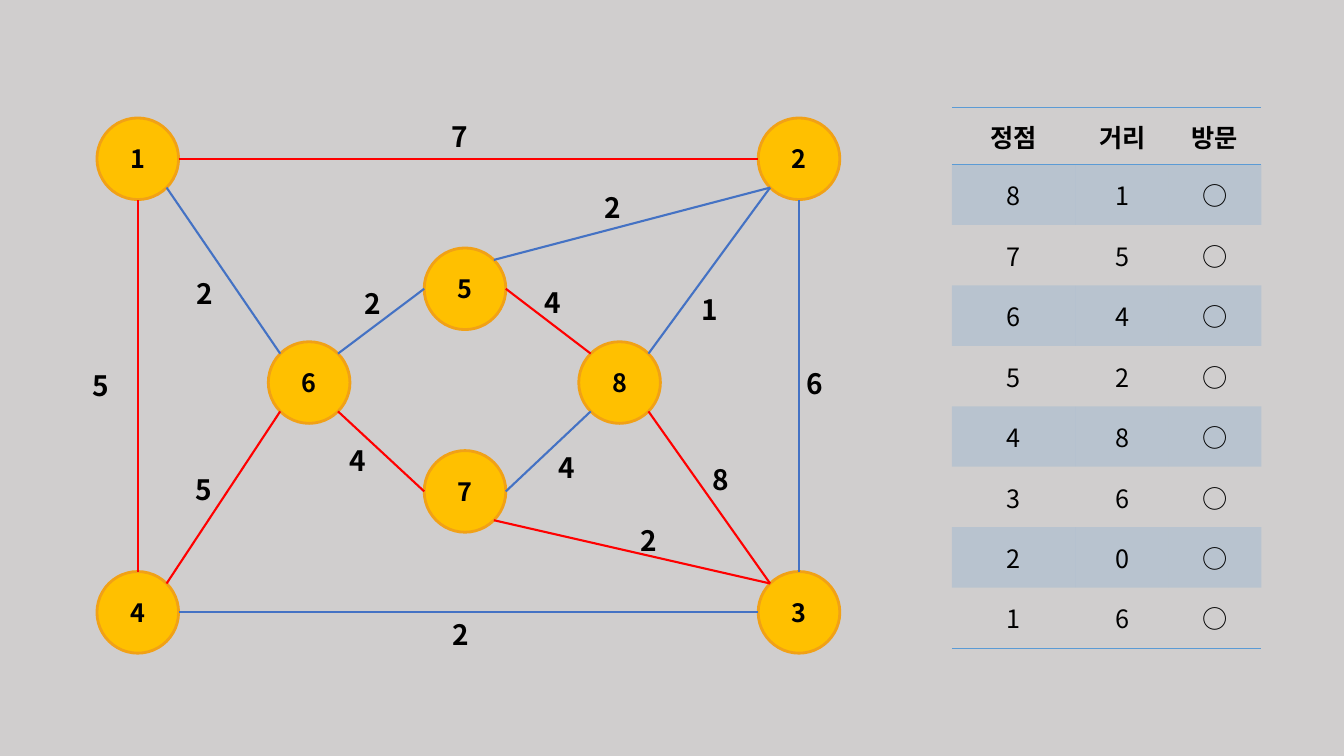
from dataclasses import dataclass
from math import cos, radians, sin

from lxml.etree import SubElement
from pptx import Presentation
from pptx.dml.color import RGBColor
from pptx.enum.shapes import MSO_CONNECTOR, MSO_SHAPE
from pptx.enum.text import MSO_ANCHOR, PP_ALIGN
from pptx.oxml.ns import qn
from pptx.util import Emu, Inches, Pt

FONT = "Noto Sans CJK KR"
INK = {"back": "D0CECE", "text": "000000", "node": "FFC000", "rim": "F1A116",
       "red": "FF0000", "blue": "4472C4", "table": "5B9BD5"}
PLAIN = "{2D5ABB26-0587-4C30-8999-92F81FD0307C}"  # table style without grid
WIDE, HIGH = Inches(13.33), Inches(7.5)


# Lengths are percentages of the slide's width or height
def across(share: float) -> Emu:
    return Emu(round(WIDE * share / 100))


def down(share: float) -> Emu:
    return Emu(round(HIGH * share / 100))


SIZE = down(10.8)  # circle width
TAG = (across(2.7), down(5.87))  # weight label

# Joints run anticlockwise round a circle, 45 degrees apart
TOP, TOP_LEFT, LEFT, LOW_LEFT, LOW, LOW_RIGHT, RIGHT, TOP_RIGHT = range(8)


@dataclass
class Node:
    name: str
    x: float
    y: float

    def joint(self, site: int) -> tuple[Emu, Emu]:
        turn = radians(45 * site)
        return (Emu(round(across(self.x) - SIZE / 2 * sin(turn))),
                Emu(round(down(self.y) - SIZE / 2 * cos(turn))))


@dataclass
class Edge:
    start: str
    out: int
    end: str
    into: int
    color: str
    weight: str
    x: float  # centre of the weight
    y: float


NODES = [
    Node("1", 10.25, 21), Node("2", 59.45, 21),
    Node("4", 10.25, 81), Node("3", 59.45, 81),
    Node("5", 34.6, 38.2), Node("7", 34.6, 65),
    Node("8", 46.1, 50.6), Node("6", 23, 50.6),
]
EDGES = [
    Edge("1", RIGHT, "2", LEFT, "red", "7", 34.2, 18.13),
    Edge("1", LOW_RIGHT, "6", TOP_LEFT, "blue", "2", 15.23, 38.8),
    Edge("4", TOP_RIGHT, "6", LOW_LEFT, "red", "5", 15.15, 64.8),
    Edge("4", TOP, "1", LOW, "red", "5", 7.5, 51.07),
    Edge("4", RIGHT, "3", LEFT, "blue", "2", 34.28, 84),
    Edge("6", LOW_RIGHT, "7", LEFT, "red", "4", 26.63, 60.93),
    Edge("6", TOP_RIGHT, "5", LEFT, "blue", "2", 27.75, 40.13),
    Edge("5", RIGHT, "8", TOP_LEFT, "red", "4", 41.1, 40),
    Edge("8", LOW_RIGHT, "3", TOP_LEFT, "red", "8", 53.63, 63.47),
    Edge("8", TOP_RIGHT, "2", LOW_LEFT, "blue", "1", 52.8, 40.93),
    Edge("3", TOP, "2", LOW, "blue", "6", 60.6, 50.8),
    Edge("7", RIGHT, "8", LOW_LEFT, "blue", "4", 42.15, 61.87),
    Edge("5", TOP_RIGHT, "2", LOW_LEFT, "blue", "2", 45.6, 27.47),
    Edge("7", LOW_RIGHT, "3", TOP_LEFT, "red", "2", 48.3, 71.47),
]
HEAD = ("정점", "거리", "방문")
COSTS = [("8", "1"), ("7", "5"), ("6", "4"), ("5", "2"),
         ("4", "8"), ("3", "6"), ("2", "0"), ("1", "6")]


def paint(name: str) -> RGBColor:
    return RGBColor.from_string(INK[name])


def write(frame, text: str, size: int = 18, bold: bool = True,
          align: PP_ALIGN = PP_ALIGN.CENTER) -> None:
    para = frame.paragraphs[0]
    para.alignment = align
    run = para.add_run()
    run.text = text
    font = run.font
    font.size, font.bold, font.name = Pt(size), bold, FONT
    font.color.rgb = paint("text")
    SubElement(run._r.get_or_add_rPr(), qn("a:ea"), typeface=FONT)


# Graph parts
def draw_node(slide, node: Node):
    left, top = across(node.x) - SIZE // 2, down(node.y) - SIZE // 2
    disc = slide.shapes.add_shape(MSO_SHAPE.OVAL, left, top, SIZE, SIZE)
    disc.shadow.inherit = False
    disc.fill.solid()
    disc.fill.fore_color.rgb = paint("node")
    disc.line.color.rgb = paint("rim")
    disc.line.width = Pt(2)
    disc.text_frame.vertical_anchor = MSO_ANCHOR.MIDDLE
    write(disc.text_frame, node.name)
    return disc


def draw_edge(slide, edge: Edge, nodes: dict, discs: dict) -> None:
    start = nodes[edge.start].joint(edge.out)
    end = nodes[edge.end].joint(edge.into)
    link = slide.shapes.add_connector(MSO_CONNECTOR.STRAIGHT, *start, *end)
    link.line.color.rgb = paint(edge.color)
    link.line.width = Pt(1.5)
    SubElement(link.element.spPr, qn("a:effectLst"))
    # A circle has eight joints, so the join is set in XML
    joins = link.element.find(".//" + qn("p:cNvCxnSpPr"))
    for tag, name, site in (("a:stCxn", edge.start, edge.out),
                            ("a:endCxn", edge.end, edge.into)):
        SubElement(joins, qn(tag), id=str(discs[name].shape_id), idx=str(site))


def draw_weight(slide, edge: Edge) -> None:
    wide, high = TAG
    box = slide.shapes.add_textbox(across(edge.x) - wide // 2,
                                   down(edge.y) - high // 2, wide, high)
    box.text_frame.word_wrap = False
    write(box.text_frame, edge.weight, size=20, align=PP_ALIGN.LEFT)


# Table parts
def rule(cell, side: str) -> None:
    line = SubElement(cell._tc.get_or_add_tcPr(), qn("a:" + side), w=str(Pt(1)))
    fill = SubElement(line, qn("a:solidFill"))
    SubElement(fill, qn("a:srgbClr"), val=INK["table"])


def shade(cell) -> None:
    cell.fill.solid()
    cell.fill.fore_color.rgb = paint("table")
    color = cell._tc.tcPr.find(".//" + qn("a:srgbClr"))
    SubElement(color, qn("a:alpha"), val="20000")


def draw_table(slide) -> None:
    rows = [HEAD] + [(*cost, "○") for cost in COSTS]
    cols = (9.23, 6.9, 6.9)
    highs = [7.47] + [8] * len(COSTS)
    table = slide.shapes.add_table(len(rows), len(cols), across(70.82), down(14.27),
                                   across(sum(cols)), down(sum(highs))).table
    table.horz_banding = table.first_row = False
    table._tbl.tblPr.find(qn("a:tableStyleId")).text = PLAIN
    for col, wide in zip(table.columns, cols):
        col.width = across(wide)
    for index, (row, high, words) in enumerate(zip(table.rows, highs, rows)):
        row.height = down(high)
        for cell, text in zip(row.cells, words):
            cell.vertical_anchor = MSO_ANCHOR.MIDDLE
            write(cell.text_frame, text, bold=index == 0)
            if index == 0:
                rule(cell, "lnT")
            if index in (0, len(COSTS)):
                rule(cell, "lnB")
            if index % 2:
                shade(cell)
            else:
                cell.fill.background()


def main() -> None:
    deck = Presentation()
    deck.slide_width, deck.slide_height = WIDE, HIGH
    slide = deck.slides.add_slide(deck.slide_layouts[6])
    slide.background.fill.solid()
    slide.background.fill.fore_color.rgb = paint("back")

    draw_table(slide)
    nodes = {node.name: node for node in NODES}
    discs = {node.name: draw_node(slide, node) for node in NODES}
    for edge in EDGES:
        draw_edge(slide, edge, nodes, discs)
        draw_weight(slide, edge)
    deck.save("out.pptx")


if __name__ == "__main__":
    main()
